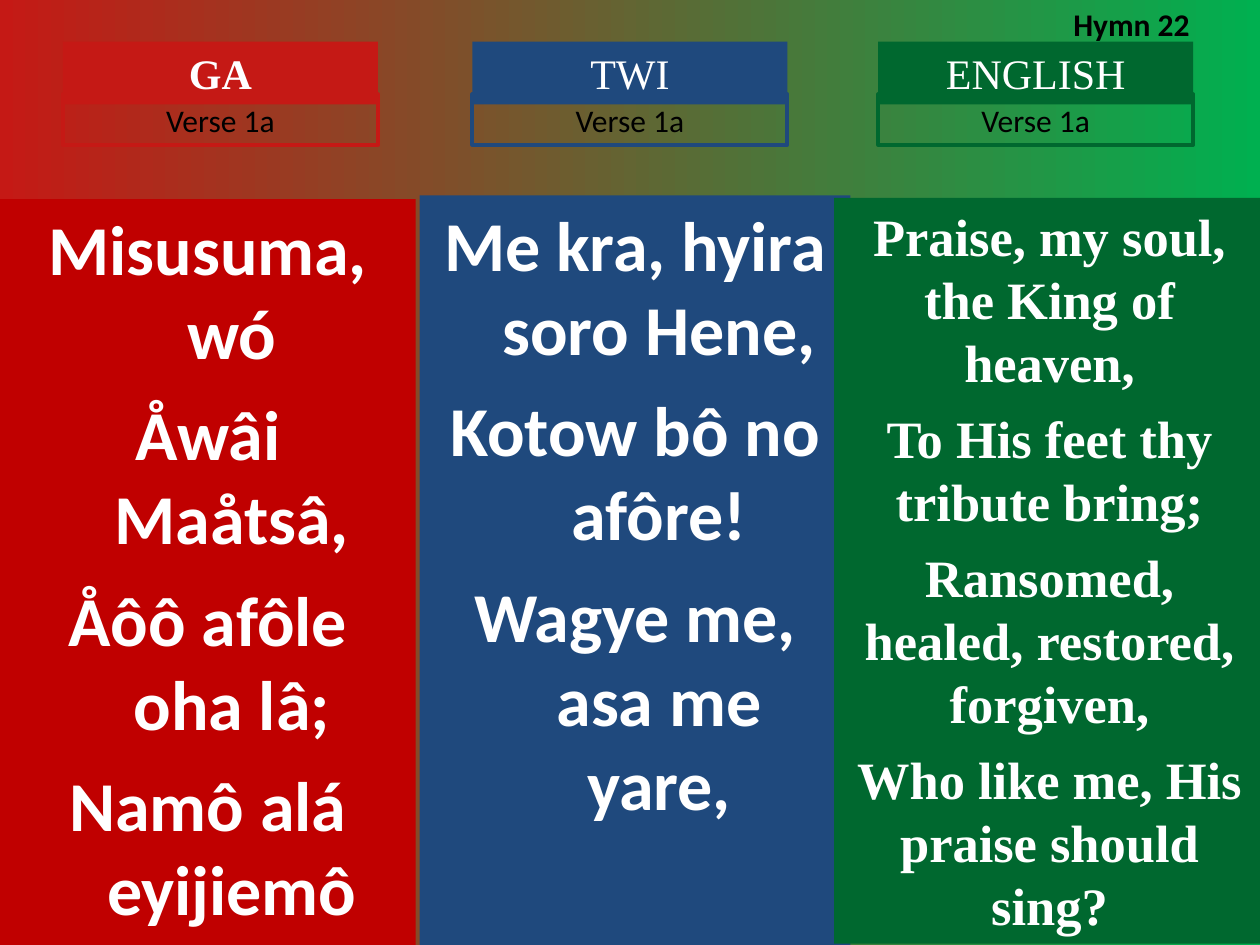
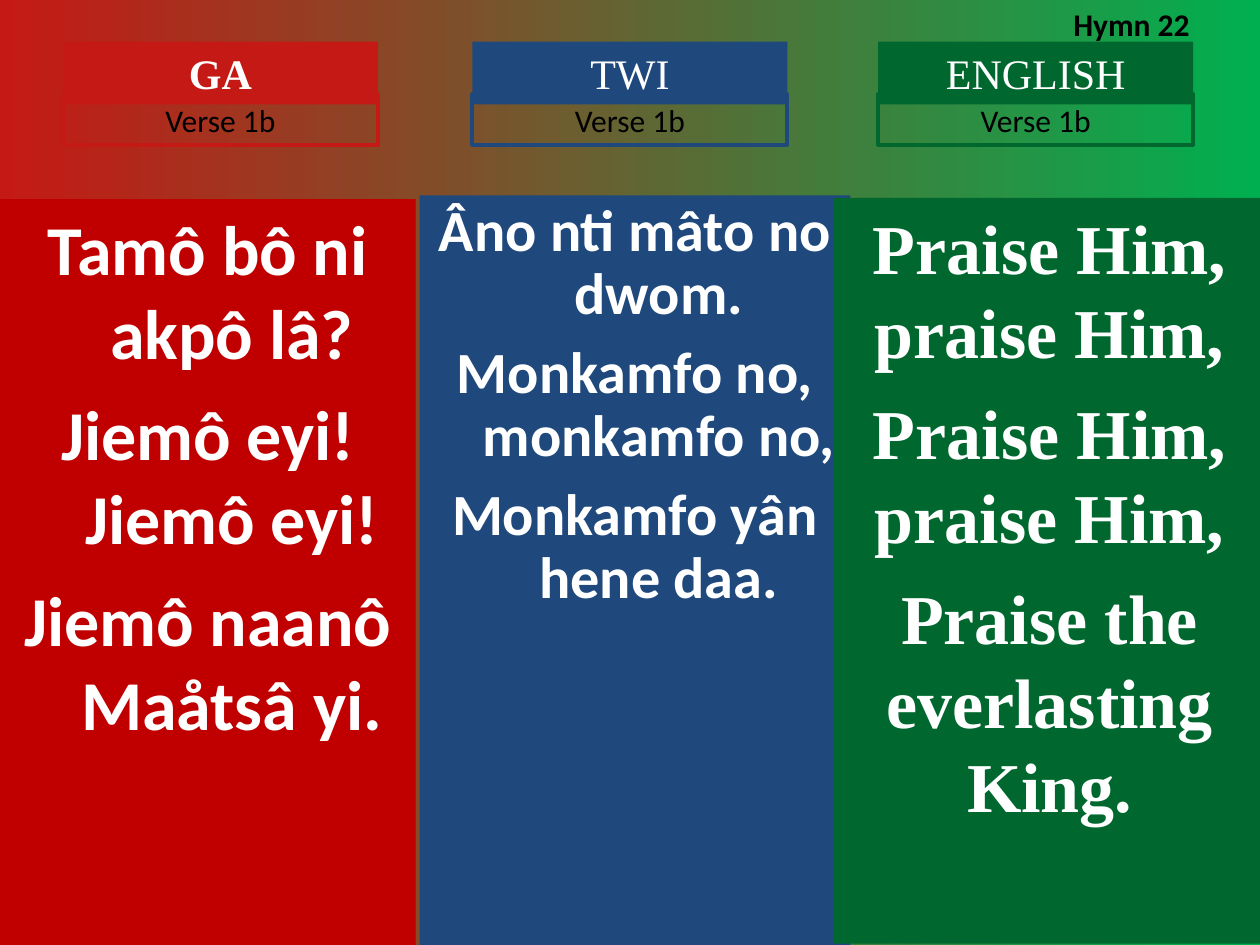
import pptx
import pptx.dml.color
import pptx.enum.shapes
import pptx.enum.text
import pptx.util

PX = 9144  # EMU; 100 px to the inch

COLORS = {
    "scarlet": "C51915", "red": "C00000", "blue": "1F497D",
    "green": "00682F", "lime": "00B050", "white": "FFFFFF", "black": "000000",
}
SANS, SERIF = "Calibri", "Times New Roman"
CENTER = pptx.enum.text.PP_ALIGN.CENTER
HANGING = 38

LANGUAGES = [
    {"name": "GA", "left": 50, "accent": "scarlet", "bold": True,
     "panel": (0, 158, 330, 592), "fill": "red", "font": SANS, "indent": HANGING},
    {"name": "TWI", "left": 375, "accent": "blue", "bold": False,
     "panel": (333, 155, 342, 595), "fill": "blue", "font": SANS, "indent": HANGING},
    {"name": "ENGLISH", "left": 697, "accent": "green", "bold": False,
     "panel": (662, 157, 342, 592), "fill": "green", "font": SERIF, "indent": 0},
]

# Each lyric: text size, line spacing, space before, lines
VERSES = {
    "Verse 1a": {
        "GA": (40, 1.0, 10, ["Misusuma, wó", "Åwâi Maåtsâ,", "Åôô afôle oha lâ;",
                             "Namô alá eyijiemô"]),
        "TWI": (40, 1.0, 10, ["Me kra, hyira soro Hene,", "Kotow bô no afôre!",
                              "Wagye me, asa me yare,"]),
        "ENGLISH": (30, 1.0, 7.5, ["Praise, my soul, the King of heaven,",
                                   "To His feet thy tribute bring;",
                                   "Ransomed, healed, restored, forgiven,",
                                   "Who like me, His praise should sing?"]),
    },
    "Verse 1b": {
        "GA": (40, 1.0, 10, ["Tamô bô ni akpô lâ?", "Jiemô eyi! Jiemô eyi!",
                             "Jiemô naanô Maåtsâ yi."]),
        "TWI": (33.3, 0.9, 9, ["Âno nti mâto no dwom.", "Monkamfo no, monkamfo no,",
                               "Monkamfo yân hene daa."]),
        "ENGLISH": (40, 1.0, 10, ["Praise Him, praise Him,", "Praise Him, praise Him,",
                                  "Praise the everlasting King."]),
    },
}


def rgb(name):
    return pptx.dml.color.RGBColor.from_string(COLORS[name])


def apply_format(target, values):
    for attribute, value in values.items():
        setattr(target, attribute, value)


class HymnDeck:
    """Holds the presentation, its style and the current slide."""

    def __init__(self):
        self.deck = pptx.Presentation()
        apply_format(self.deck, {"slide_width": 1000 * PX, "slide_height": 750 * PX})

    def new_slide(self):
        self.slide = self.deck.slides.add_slide(self.deck.slide_layouts[6])
        backdrop = self.slide.background.fill
        backdrop.gradient()
        backdrop.gradient_angle = 0
        for stop, name in zip(backdrop.gradient_stops, ("scarlet", "lime")):
            stop.color.rgb = rgb(name)

    def add_lines(self, frame, lines, color, font, spacing=None, before=0, indent=0):
        apply_format(frame, {"word_wrap": True,
                             "vertical_anchor": pptx.enum.text.MSO_ANCHOR.TOP})
        for number, line in enumerate(lines):
            paragraph = frame.add_paragraph() if number else frame.paragraphs[0]
            if indent:
                properties = paragraph._p.get_or_add_pPr()
                properties.set("marL", str(indent * PX))
                properties.set("indent", str(-indent * PX))
            apply_format(paragraph, {
                "alignment": CENTER, "line_spacing": spacing,
                "space_before": pptx.util.Pt(before if number else 0)})
            run = paragraph.add_run()
            run.text = line
            apply_format(run.font, font)
            run.font.color.rgb = rgb(color)

    def box(self, place, fill=None, outline=None):
        """Add a rectangle that is filled, outlined or both."""
        rectangle = self.slide.shapes.add_shape(
            pptx.enum.shapes.MSO_SHAPE.RECTANGLE, *(length * PX for length in place))
        rectangle.shadow.inherit = False
        if fill:
            rectangle.fill.solid()
            rectangle.fill.fore_color.rgb = rgb(fill)
        else:
            rectangle.fill.background()
        if outline:
            rectangle.line.color.rgb = rgb(outline)
            rectangle.line.width = pptx.util.Pt(2.25)
        else:
            rectangle.line.fill.background()
        return rectangle.text_frame

    def lyrics(self, language, lyric):
        size, spacing, before, lines = lyric
        font = {"size": pptx.util.Pt(size), "name": language["font"], "bold": True}
        self.add_lines(self.box(language["panel"], fill=language["fill"]), lines, "white",
                       font, spacing, before, language["indent"])

    def heading(self, language, verse):
        left, accent = language["left"], language["accent"]
        self.add_lines(
            self.box((left, 33, 250, 50), fill=accent), [language["name"]], "white",
            {"size": pptx.util.Pt(24), "name": SERIF, "bold": language["bold"]})
        self.add_lines(self.box((left, 75, 250, 40), outline=accent), [verse], "black",
                       {"size": pptx.util.Pt(18), "name": SANS})

    def hymn_number(self, text):
        label = self.slide.shapes.add_textbox(842 * PX, -1 * PX, 150 * PX, 40 * PX)
        self.add_lines(label.text_frame, [text], "black",
                       {"size": pptx.util.Pt(18), "name": SANS, "bold": True})
        label.text_frame.paragraphs[0].alignment = pptx.enum.text.PP_ALIGN.LEFT


def main():
    hymn = HymnDeck()
    for verse, lyrics in VERSES.items():
        hymn.new_slide()
        for language in LANGUAGES:
            hymn.lyrics(language, lyrics[language["name"]])
            hymn.heading(language, verse)
        hymn.hymn_number("Hymn 22")
    hymn.deck.save("out.pptx")


if __name__ == "__main__":
    main()
